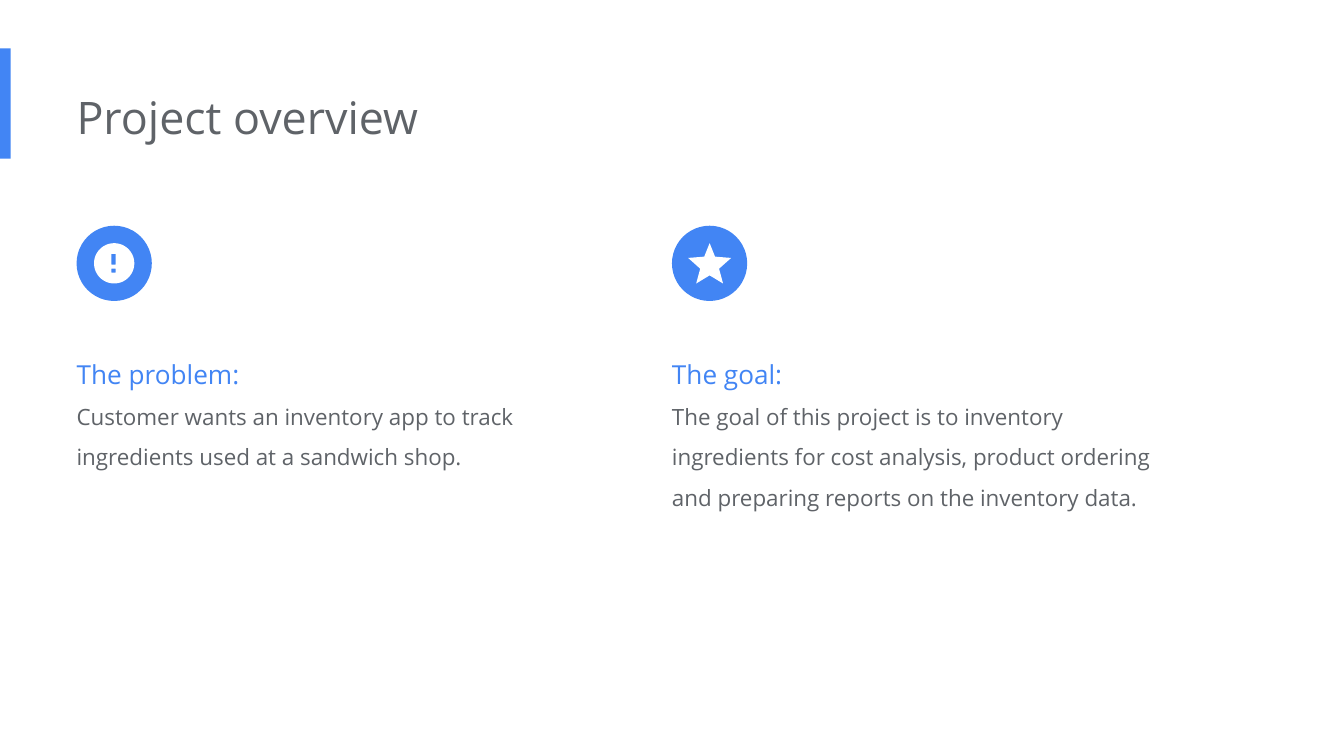
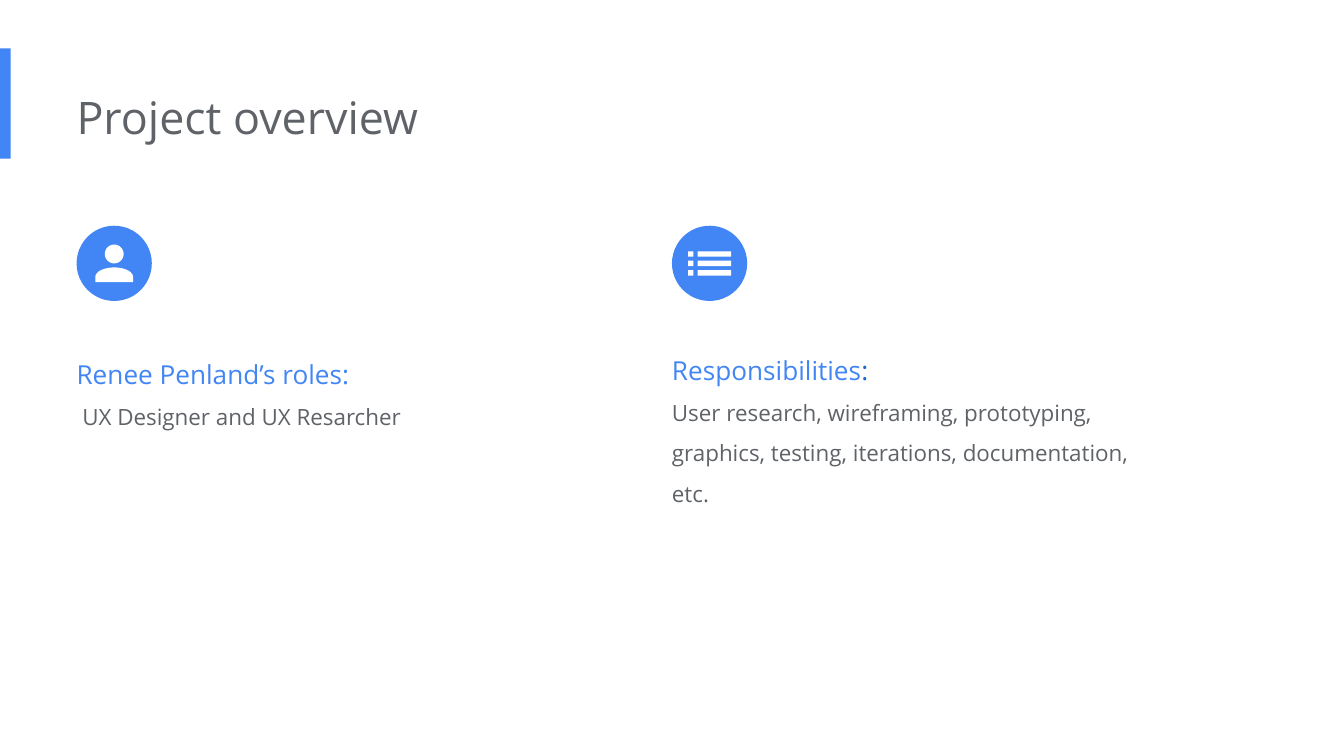
"""Builds two project overview slides, each with two icon columns."""
import math
from pptx import Presentation, util as u
from pptx.dml.color import RGBColor
from pptx.enum import shapes, text

HUES = {"blue": "4285F4", "deep": "1967D2", "grey": "5F6368", "white": "FFFFFF"}
FONT = "Open Sans"
LEFT, RIGHT = 0.57, 5


def arc(x, y, rx, ry, start=0, end=360):
    turns = [math.radians(a) for a in range(start, end + 1, 6)]
    return [(x + rx * math.cos(t), y + ry * math.sin(t)) for t in turns]


def write(slide, x, y, w, h, lines, gap):
    box = slide.shapes.add_textbox(u.Inches(x), u.Inches(y), u.Inches(w), u.Inches(h))
    frame = box.text_frame
    frame.word_wrap = True
    frame.auto_size = text.MSO_AUTO_SIZE.SHAPE_TO_FIT_TEXT
    frame.margin_left = 0
    frame.margin_top = frame.margin_right = frame.margin_bottom = u.Inches(0.1)
    for i, runs in enumerate(lines):
        par = frame.paragraphs[0] if i == 0 else frame.add_paragraph()
        par.line_spacing = gap
        for words, size, hue in runs:
            run = par.add_run()
            run.text = words
            run.font.name = FONT
            run.font.size = u.Pt(size)
            run.font.color.rgb = RGBColor.from_string(HUES[hue])


rects = [(0.83, 1.89, 0.03, 0.08), (0.83, 2, 0.03, 0.03)]
bars = [(x, y, w, 0.04) for y in (1.87, 1.94, 2.01) for x, w in ((5.12, 0.04), (5.19, 0.25))]
marks, rows = [
    [[(x, y), (x + w, y), (x + w, y + h), (x, y + h)] for x, y, w, h in group]
    for group in (rects, bars)
]
alert = [arc(0.85, 1.96, 0.15, 0.15)] + marks
star = [[(5.28, 2.05), (5.38, 2.11), (5.35, 2), (5.44, 1.92), (5.32, 1.91),
         (5.28, 1.81), (5.24, 1.91), (5.12, 1.92), (5.21, 2), (5.18, 2.11)]]
person = [arc(0.85, 1.89, 0.07, 0.07),
          arc(0.85, 2.06, 0.14, 0.07, 180, 360) + [(0.99, 2.1), (0.71, 2.1)]]

pages = [
    [
        (LEFT, 2.45, 1.16, alert, [("The problem:", 14, "blue")],
         "Customer wants an inventory app to track ingredients used at a sandwich shop."),
        (RIGHT, 2.45, 1.46, star, [("The goal:", 14, "blue")],
         "The goal of this project is to inventory ingredients for cost analysis, "
         "product ordering and preparing reports on the inventory data."),
    ],
    [
        (LEFT, 2.45, 0.86, person, [("Renee Penland’s roles:", 14, "blue")],
         " UX Designer and UX Resarcher"),
        (RIGHT, 2.42, 1.46, rows, [("Responsibilities", 14, "blue"), (":", 14, "deep")],
         "User research, wireframing, prototyping, graphics, testing, iterations, "
         "documentation, etc."),
    ],
]

deck = Presentation()
deck.slide_width = u.Inches(10)
deck.slide_height = u.Inches(10 * 9 / 16)
for page in pages:
    slide = deck.slides.add_slide(deck.slide_layouts[6])
    kinds = shapes.MSO_SHAPE
    solid = [(kinds.RECTANGLE, 0, 0.36, 0.08, 0.82)]
    solid += [(kinds.OVAL, col[0], 1.68, 0.56, 0.56) for col in page]
    drawn = [(slide.shapes.add_shape(kind, *map(u.Inches, at)), "blue") for kind, *at in solid]

    write(slide, LEFT, 0.57, 6.73, 0.61, [[("Project overview", 24, "grey")]], 1)
    for x, y, h, icon, head, body in page:
        write(slide, x, y, 3.77, h, [head, [(body, 12, "grey")]], 1.5)
        paths = [[(u.Inches(a), u.Inches(b)) for a, b in path] for path in icon]
        pen = slide.shapes.build_freeform(*paths[0][0])
        for i, path in enumerate(paths):
            if i:
                pen.move_to(*path[0])
            pen.add_line_segments(path[1:], close=True)
        drawn.append((pen.convert_to_shape(), "white"))

    for shape, hue in drawn:
        shape.shadow.inherit = False
        shape.fill.solid()
        shape.fill.fore_color.rgb = RGBColor.from_string(HUES[hue])
        shape.line.fill.background()

deck.save("out.pptx")
